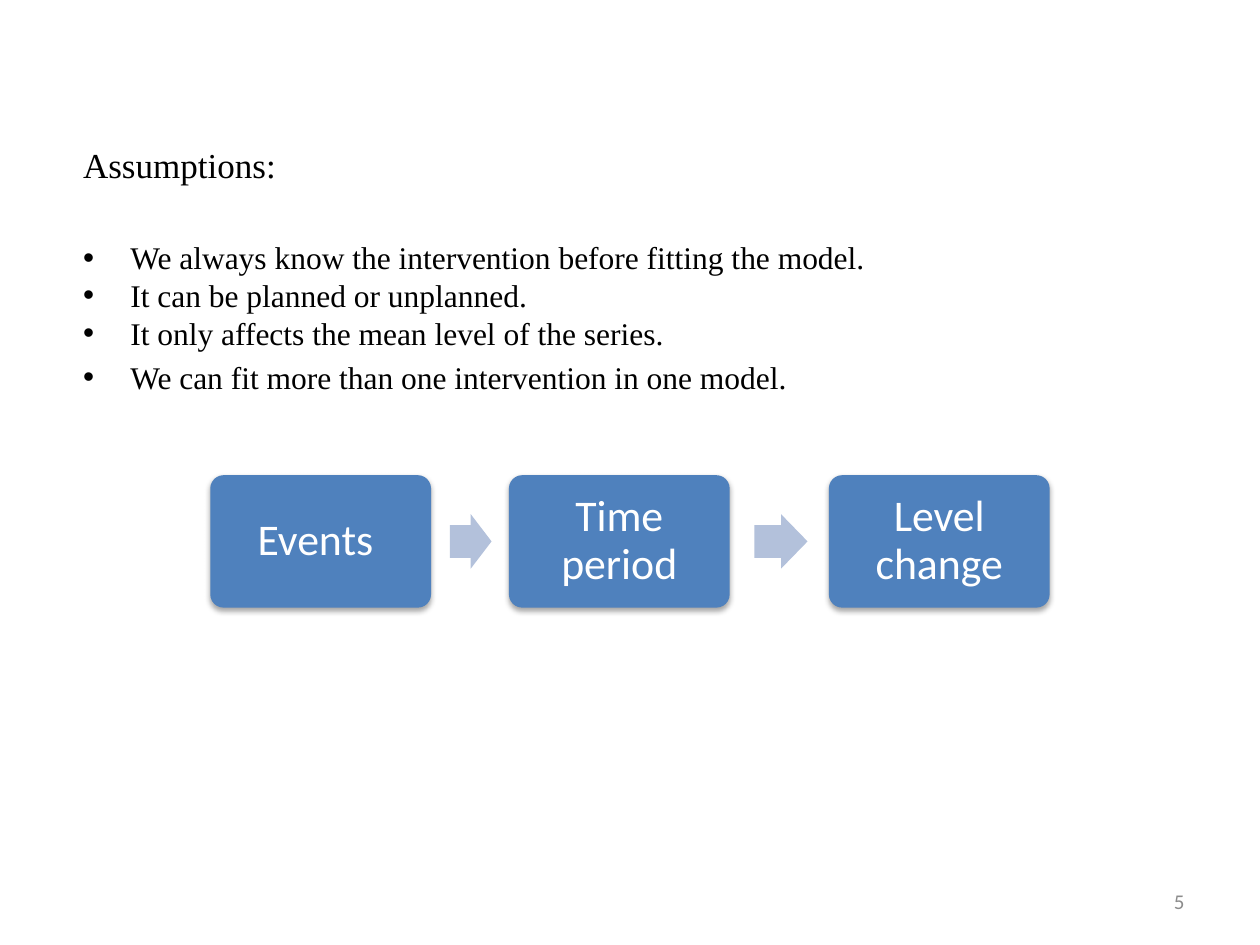
import dataclasses

import pptx
import pptx.dml.color
import pptx.enum.shapes
import pptx.enum.text
import pptx.oxml
import pptx.oxml.ns
import pptx.util

Cm = pptx.util.Cm
Pt = pptx.util.Pt
Align = pptx.enum.text.PP_ALIGN
Anchor = pptx.enum.text.MSO_ANCHOR
Preset = pptx.enum.shapes.MSO_SHAPE

SHADOW_XML = (
    f'<a:effectLst {pptx.oxml.ns.nsdecls("a")}>'
    '<a:outerShdw blurRad="40000" dist="23000" dir="5400000" rotWithShape="0">'
    '<a:srgbClr val="000000"><a:alpha val="35000"/></a:srgbClr>'
    '</a:outerShdw></a:effectLst>'
)


@dataclasses.dataclass(frozen=True)
class Theme:
    """Colours, fonts and type sizes of the slide."""
    ink: str = "000000"
    step_fill: str = "4F81BD"
    step_text: str = "FFFFFF"
    arrow_fill: str = "B3C1DB"
    number: str = "8C8C8C"
    serif: str = "Times New Roman"
    sans: str = "Calibri"
    heading_size: int = 20
    bullet_size: int = 18
    step_size: int = 25
    number_size: int = 12


class SlideBuilder:
    """Draws styled elements on the current slide."""

    def __init__(self, slide, theme):
        """Keep the slide and its theme."""
        self.slide = slide
        self.theme = theme

    def style(self, paragraph, font, size, color):
        """Format every run of a paragraph."""
        for run in paragraph.runs:
            run.font.name = font
            run.font.size = Pt(size)
            run.font.color.rgb = pptx.dml.color.RGBColor.from_string(color)

    def assumptions(self, heading, points):
        """Fill the body placeholder with a heading and its bullets."""
        theme = self.theme
        title = self.slide.shapes.title
        title.element.getparent().remove(title.element)
        body = self.slide.placeholders[1]
        body.left, body.top, body.width, body.height = Cm(1.42), Cm(2.77), Cm(22.86), Cm(13.64)
        frame = body.text_frame
        frame.auto_size = pptx.enum.text.MSO_AUTO_SIZE.NONE
        frame.text = "\n".join([heading, *points])
        first, *bullets = frame.paragraphs
        properties = first._p.get_or_add_pPr()
        properties.set("marL", "0")
        properties.set("indent", "0")
        properties.append(pptx.oxml.parse_xml(f'<a:buNone {pptx.oxml.ns.nsdecls("a")}/>'))
        self.style(first, theme.serif, theme.heading_size, theme.ink)
        for bullet in bullets:
            bullet.space_before = Pt(0)
            self.style(bullet, theme.serif, theme.bullet_size, theme.ink)
        bullets[0].space_before = Pt(30)
        bullets[-1].space_before = Pt(3.6)

    def block(self, preset, left, top, width, height, fill, adjustments):
        """Add a flat, borderless preset shape."""
        block = self.slide.shapes.add_shape(preset, Cm(left), Cm(top), Cm(width), Cm(height))
        block.shadow.inherit = False
        block.fill.solid()
        block.fill.fore_color.rgb = pptx.dml.color.RGBColor.from_string(fill)
        block.line.fill.background()
        for index, value in enumerate(adjustments):
            block.adjustments[index] = value
        return block

    def step(self, label, left, top, width, height):
        """Add a rounded process step with a soft shadow."""
        theme = self.theme
        step = self.block(Preset.ROUNDED_RECTANGLE, left, top, width, height,
                          theme.step_fill, [0.1])
        flat = step._element.spPr.find(pptx.oxml.ns.qn("a:effectLst"))
        flat.getparent().replace(flat, pptx.oxml.parse_xml(SHADOW_XML))
        frame = step.text_frame
        frame.word_wrap = True
        frame.vertical_anchor = Anchor.MIDDLE
        frame.margin_left = frame.margin_right = Cm(0.25)
        frame.margin_top = frame.margin_bottom = Cm(0.25)
        frame.text = label
        caption = frame.paragraphs[0]
        caption.alignment = Align.CENTER
        caption.line_spacing = 0.9
        self.style(caption, theme.sans, theme.step_size, theme.step_text)

    def arrow(self, left, middle, width):
        """Add a block arrow centred on a height."""
        height = 1.1
        self.block(Preset.RIGHT_ARROW, left, middle - height / 2, width, height,
                   self.theme.arrow_fill, [0.6, 0.5])

    def page_number(self, number):
        """Add the page number at the lower right."""
        theme = self.theme
        box = self.slide.shapes.add_textbox(Cm(18.21), Cm(17.65), Cm(5.92), Cm(1.02))
        frame = box.text_frame
        frame.word_wrap = True
        frame.vertical_anchor = Anchor.MIDDLE
        frame.text = number
        frame.paragraphs[0].alignment = Align.RIGHT
        self.style(frame.paragraphs[0], theme.sans, theme.number_size, theme.number)


def main():
    """Build the intervention assumptions slide."""
    deck = pptx.Presentation()
    deck.slide_width, deck.slide_height = Cm(25.4), Cm(19.05)
    builder = SlideBuilder(deck.slides.add_slide(deck.slide_layouts[1]), Theme())
    builder.assumptions("Assumptions:", [
        "We always know the intervention before fitting the model.",
        "It can be planned or unplanned.",
        "It only affects the mean level of the series.",
        "We can fit more than one intervention in one model.",
    ])
    top, width, height = 9.58, 4.45, 2.67
    for label, left in [("Events\t", 4.24), ("Time period", 10.26), ("Level change", 16.71)]:
        builder.step(label, left, top, width, height)
    for left, arrow_width in [(9.07, 0.84), (15.21, 1.07)]:
        builder.arrow(left, top + height / 2, arrow_width)
    builder.page_number("5")
    deck.save("out.pptx")


if __name__ == "__main__":
    main()
